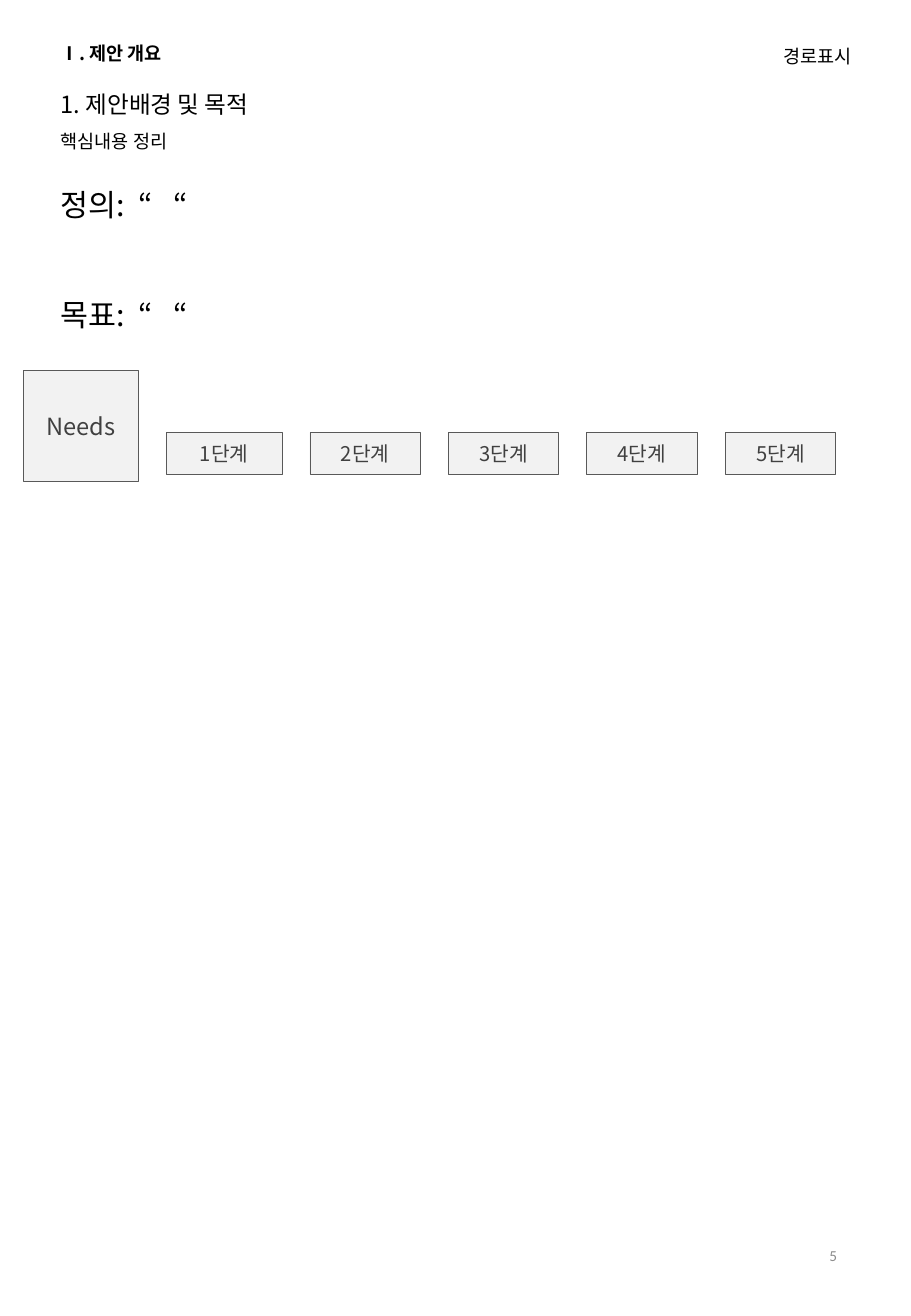
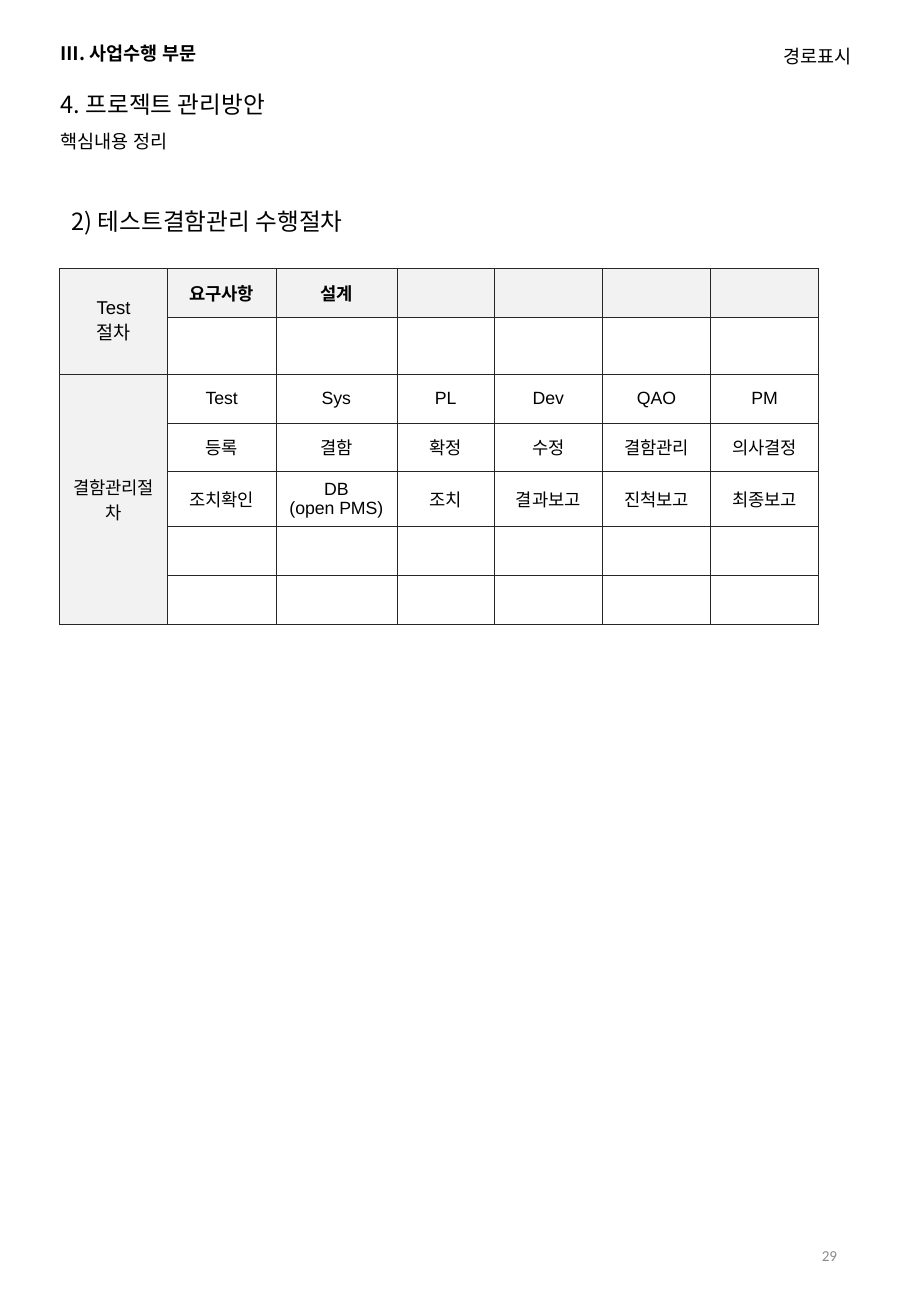
import copy

import pptx
import pptx.dml.color
import pptx.enum.shapes
import pptx.enum.text
import pptx.oxml
import pptx.oxml.ns
import pptx.util

ALIGN = pptx.enum.text.PP_ALIGN
MIDDLE = pptx.enum.text.MSO_ANCHOR.MIDDLE
inches = pptx.util.Inches

WIDTH, HEIGHT = 7.5, 10.83
MARGIN = 0.4
BODY_WIDTH = 6.63
KOREAN = "Noto Sans CJK KR"
BLACK, WHITE, PANEL, PANEL_LINE = "000000", "FFFFFF", "F2F2F2", "595959"
GRID_LINE, GRID_POINTS = "262626", 0.25

SECTION = {"size": 11, "name": "Noto Sans CJK JP", "bold": True}
TITLE = {"size": 14}
SMALL = {"size": 11}
STATEMENT = {"size": 18}
NEED = {"size": 14, "color": "404040"}
STEP = {"size": 12, "color": "404040"}
PAGE_NUMBER = {"size": 9, "name": "Calibri", "color": "8C8C8C"}
CELL = {"size": 10.5, "name": "Arial"}

PATH_LABEL = "경로표시"
SUMMARY = "핵심내용 정리"
OVERVIEW = {"section": "Ⅰ. 제안 개요", "title": "1. 제안배경 및 목적", "page": "5"}
MANAGEMENT = {"section": "Ⅲ. 사업수행 부문", "title": "4. 프로젝트 관리방안", "page": "29"}

STATEMENTS = [("정의:  “   “", 1.48), ("목표:  “   “", 2.39)]
BOX_GAP = 0.23
BOXES = [("Needs", 0.95, 3.05, 0.91, NEED)] + [
    (f"{number}단계", 0.95 if number == 1 else 0.91, 3.56, 0.34, STEP)
    for number in range(1, 6)
]

PROCEDURE = "2) 테스트결함관리 수행절차"
COLUMNS = [0.89, 0.89, 1, 0.8, 0.89, 0.89, 0.89]
ROWS = [0.4, 0.47, 0.4, 0.4, 0.45, 0.4, 0.41]
CELLS = [
    ["Test\n절차", "요구사항", "설계", "", "", "", ""],
    [""] * 7,
    ["결함관리절차", "Test", "Sys", "PL", "Dev", "QAO", "PM"],
    ["", "등록", "결함", "확정", "수정", "결함관리", "의사결정"],
    ["", "조치확인", "DB\v(open PMS)", "조치", "결과보고", "진척보고", "최종보고"],
    [""] * 7,
    [""] * 7,
]
MERGED_ROWS = [(0, 1), (2, 6)]


def rgb(value):
    return pptx.dml.color.RGBColor.from_string(value)


def write(frame, text, style, align=ALIGN.LEFT):
    frame.text = text
    values = {"name": KOREAN, "bold": False, "color": BLACK, **style}
    color = values.pop("color")
    values["size"] = pptx.util.Pt(values["size"])
    east_asian = KOREAN if values["name"] in ("Arial", "Calibri") else values["name"]
    for paragraph in frame.paragraphs:
        paragraph.alignment = align
        for run in paragraph.runs:
            for key, value in values.items():
                setattr(run.font, key, value)
            run.font.color.rgb = rgb(color)
            properties = run.font._element
            typeface = properties.makeelement(pptx.oxml.ns.qn("a:ea"), {"typeface": east_asian})
            properties.find(pptx.oxml.ns.qn("a:latin")).addnext(typeface)
        for line_break in paragraph._p.findall(pptx.oxml.ns.qn("a:br")):
            line_break.append(copy.deepcopy(paragraph.runs[0].font._element))


def add_text(slide, text, left, top, width, height, style, align=ALIGN.LEFT, anchor=None):
    box = slide.shapes.add_textbox(*map(inches, (left, top, width, height)))
    box.text_frame.word_wrap = True
    box.text_frame.vertical_anchor = anchor
    write(box.text_frame, text, style, align)


def add_box(slide, text, left, top, width, height, style):
    shape = slide.shapes.add_shape(
        pptx.enum.shapes.MSO_SHAPE.RECTANGLE, *map(inches, (left, top, width, height)))
    shape.shadow.inherit = False
    shape.fill.solid()
    shape.fill.fore_color.rgb = rgb(PANEL)
    shape.line.color.rgb = rgb(PANEL_LINE)
    shape.line.width = pptx.util.Pt(GRID_POINTS)
    shape.text_frame.vertical_anchor = MIDDLE
    write(shape.text_frame, text, style, ALIGN.CENTER)


def add_page(presentation, content):
    slide = presentation.slides.add_slide(presentation.slide_layouts[6])
    add_text(slide, content["section"], MARGIN, 0.3, 3.42, 0.29, SECTION)
    add_text(slide, PATH_LABEL, 5.45, 0.32, 1.66, 0.29, SMALL, ALIGN.RIGHT)
    add_text(slide, content["title"], MARGIN, 0.69, BODY_WIDTH, 0.34, TITLE)
    add_text(slide, SUMMARY, MARGIN, 1.02, BODY_WIDTH, 0.29, SMALL)
    add_text(slide, content["page"], 5.3, 10.04, 1.69, 0.58, PAGE_NUMBER, ALIGN.RIGHT, MIDDLE)
    return slide


def format_cell(cell, fill):
    properties = cell._tc.get_or_add_tcPr()
    for side in ("lnL", "lnR", "lnT", "lnB"):
        properties.append(pptx.oxml.parse_xml(
            f'<a:{side} {pptx.oxml.ns.nsdecls("a")} w="{pptx.util.Pt(GRID_POINTS)}">'
            f'<a:solidFill><a:srgbClr val="{GRID_LINE}"/></a:solidFill></a:{side}>'))
    cell.fill.solid()
    cell.fill.fore_color.rgb = rgb(fill)
    cell.vertical_anchor = MIDDLE


def add_procedure_table(slide):
    frame = slide.shapes.add_table(
        len(ROWS), len(COLUMNS), *map(inches, (0.49, 2.21, sum(COLUMNS), sum(ROWS))))
    table = frame.table
    table.first_row = table.horz_banding = False
    for column, width in zip(table.columns, COLUMNS):
        column.width = inches(width)
    for row, height in zip(table.rows, ROWS):
        row.height = inches(height)
    for row_index, texts in enumerate(CELLS):
        for column_index, text in enumerate(texts):
            cell = table.cell(row_index, column_index)
            format_cell(cell, PANEL if row_index == 0 or column_index == 0 else WHITE)
            if text:
                is_corner = row_index == column_index == 0
                style = {**CELL, "bold": row_index == 0 and not is_corner}
                if is_corner:
                    style["size"] = 11
                write(cell.text_frame, text, style, ALIGN.CENTER)
    for first, last in MERGED_ROWS:
        table.cell(first, 0).merge(table.cell(last, 0))


def main():
    presentation = pptx.Presentation()
    presentation.slide_width, presentation.slide_height = inches(WIDTH), inches(HEIGHT)

    overview = add_page(presentation, OVERVIEW)
    for text, top in STATEMENTS:
        add_text(overview, text, MARGIN, top, 1.66, 0.4, STATEMENT)
    left = 0.19
    for text, width, top, height, style in BOXES:
        add_box(overview, text, left, top, width, height, style)
        left += width + BOX_GAP

    management = add_page(presentation, MANAGEMENT)
    add_text(management, PROCEDURE, 0.49, 1.65, 6.34, 0.34, TITLE)
    add_procedure_table(management)

    presentation.save("out.pptx")


if __name__ == "__main__":
    main()
